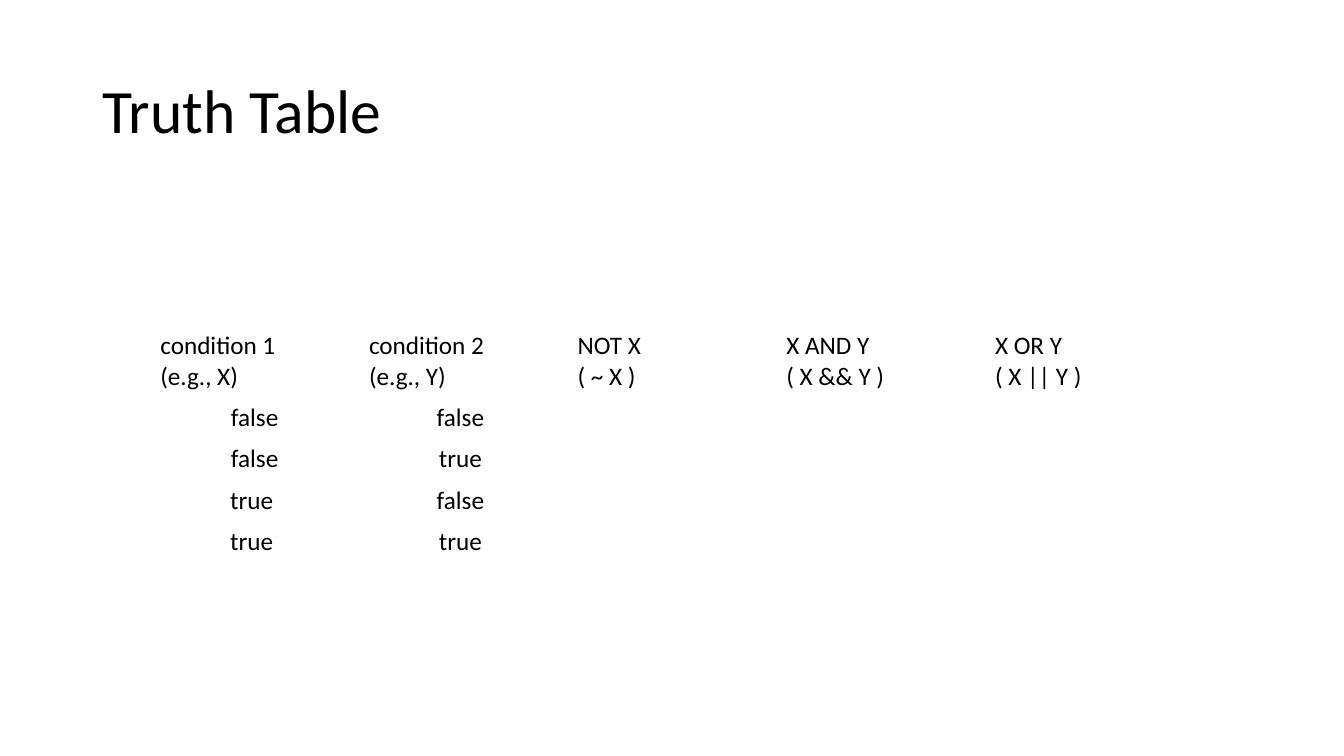
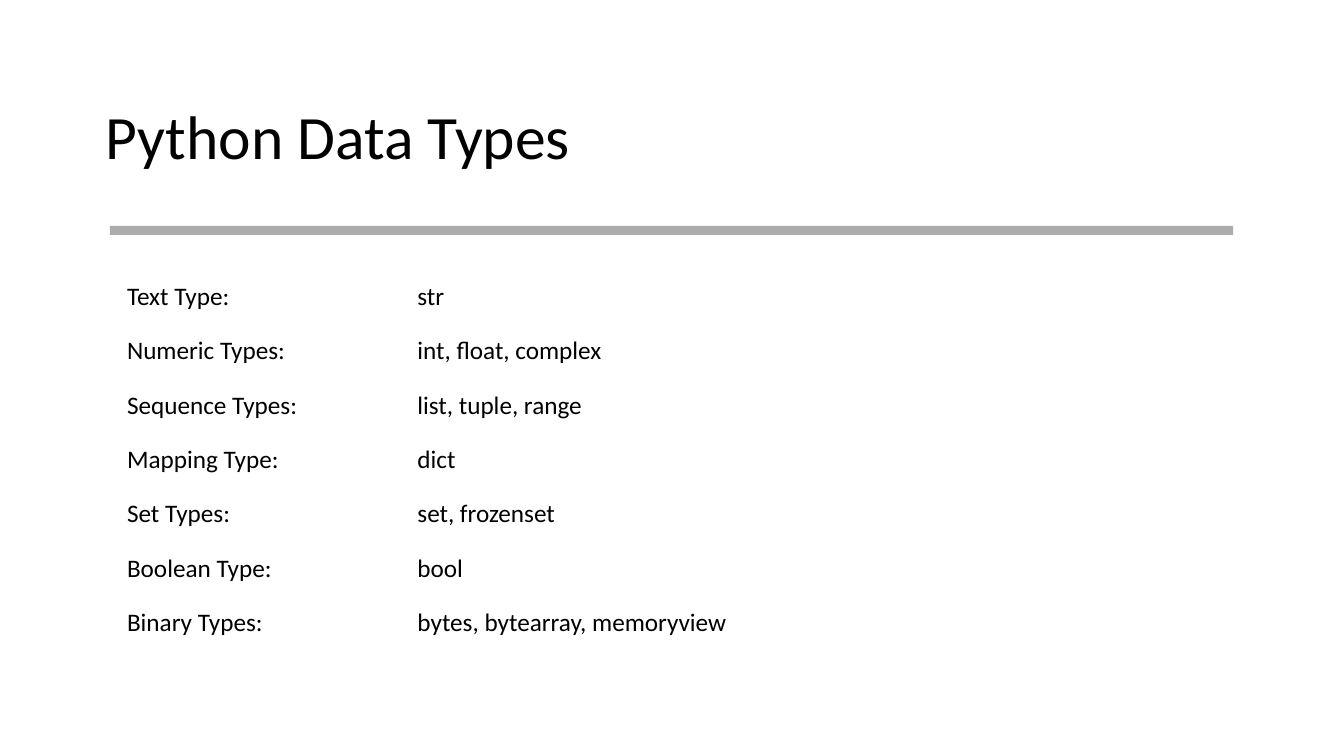
import pptx
import pptx.dml.color
import pptx.enum.shapes
import pptx.enum.text
import pptx.oxml.ns
import pptx.util
import lxml.etree

PX = 9144
BLACK = pptx.dml.color.RGBColor(0x00, 0x00, 0x00)
WHITE = pptx.dml.color.RGBColor(0xFF, 0xFF, 0xFF)
GREY = pptx.dml.color.RGBColor(0x80, 0x80, 0x80)
MIDDLE = pptx.enum.text.MSO_ANCHOR.MIDDLE
TOP = pptx.enum.text.MSO_ANCHOR.TOP
LEFT = pptx.enum.text.PP_ALIGN.LEFT
CENTER = pptx.enum.text.PP_ALIGN.CENTER
TITLE_FORMAT = {"alignment": LEFT, "line_spacing": 0.9}


def write(tf, text, size, formats):
    p = tf.paragraphs[0]
    p.text = text
    for name, value in formats.items():
        setattr(p, name, value)
    for r in p.runs:
        r.font.name = "Calibri"
        r.font.size = pptx.util.Pt(size)
        r.font.color.rgb = BLACK


def add_grid(s, left, top, widths, heights, rows, cell_formats):
    box = [v * PX for v in (left, top, sum(widths), sum(heights))]
    table = s.shapes.add_table(len(heights), len(widths), *box).table
    table.first_row = False
    table.horz_banding = False
    for column, width in zip(table.columns, widths):
        column.width = width * PX
    for row, height, texts in zip(table.rows, heights, rows):
        row.height = height * PX
        for cell, text, formats in zip(row.cells, texts, cell_formats):
            cell.fill.solid()
            cell.fill.fore_color.rgb = WHITE
            for name, value in formats.items():
                setattr(cell, name, value)
            align = CENTER if text.strip() in ("true", "false") else LEFT
            write(cell.text_frame, text, 18, {"alignment": align})
    return table


prs = pptx.Presentation()
prs.slide_width = 1333 * PX
prs.slide_height = 750 * PX

slides = []
for title, box in (
    ("Truth Table", (92, 40, 1150, 145)),
    ("Python Data Types", (95, 66, 1143, 145)),
):
    s = prs.slides.add_slide(prs.slide_layouts[6])
    tf = s.shapes.add_textbox(*[v * PX for v in box]).text_frame
    tf.word_wrap = True
    tf.vertical_anchor = MIDDLE
    write(tf, title, 44, TITLE_FORMAT)
    slides.append(s)
truth_slide, types_slide = slides

truth_rows = [
    ("condition 1\n(e.g., X)", "condition 2\n(e.g., Y)", "NOT X\n( ~ X )",
     "X AND Y\n( X && Y ) ", "X OR Y\n( X || Y )"),
    ("false", "false ", "", "", ""),
    ("false", "true ", "", "", ""),
    ("true ", "false ", "", "", ""),
    ("true ", "true ", "", "", ""),
]
add_grid(truth_slide, 149, 323, [207] * 5, [71] + [41] * 4, truth_rows,
         [{"vertical_anchor": MIDDLE}] * 5)

sp = types_slide.shapes.add_shape(
    pptx.enum.shapes.MSO_SHAPE.RECTANGLE, *[v * PX for v in (109, 224, 1114, 9)])
sp.shadow.inherit = False
sp.line.fill.background()
sp.fill.solid()
sp.fill.fore_color.rgb = GREY
color = sp.fill._xPr.find(".//" + pptx.oxml.ns.qn("a:srgbClr"))
lxml.etree.SubElement(color, pptx.oxml.ns.qn("a:alpha")).set("val", "65000")

type_rows = [
    ("Text Type:", "str"),
    ("Numeric Types:", "int, float, complex"),
    ("Sequence Types:", "list, tuple, range"),
    ("Mapping Type:", "dict"),
    ("Set Types:", "set, frozenset"),
    ("Boolean Type:", "bool"),
    ("Binary Types:", "bytes, bytearray, memoryview"),
]
value_format = {
    "vertical_anchor": TOP,
    "margin_left": 9 * PX,
    "margin_right": 9 * PX,
    "margin_top": 9 * PX,
    "margin_bottom": 9 * PX,
}
label_format = {**value_format, "margin_left": 17 * PX}
add_grid(types_slide, 109, 270, [296, 818], [54] * len(type_rows), type_rows,
         [label_format, value_format])

prs.save("out.pptx")
